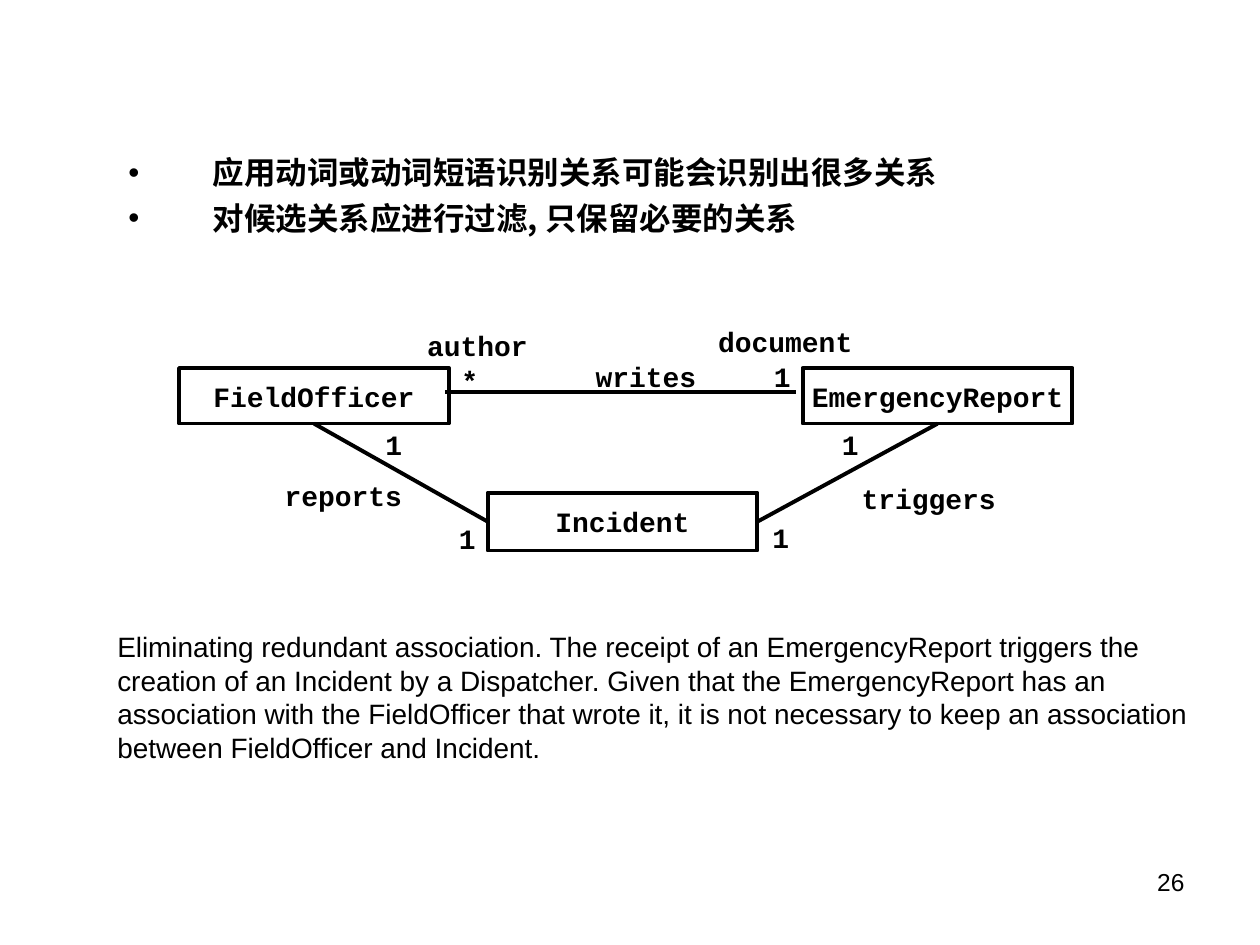
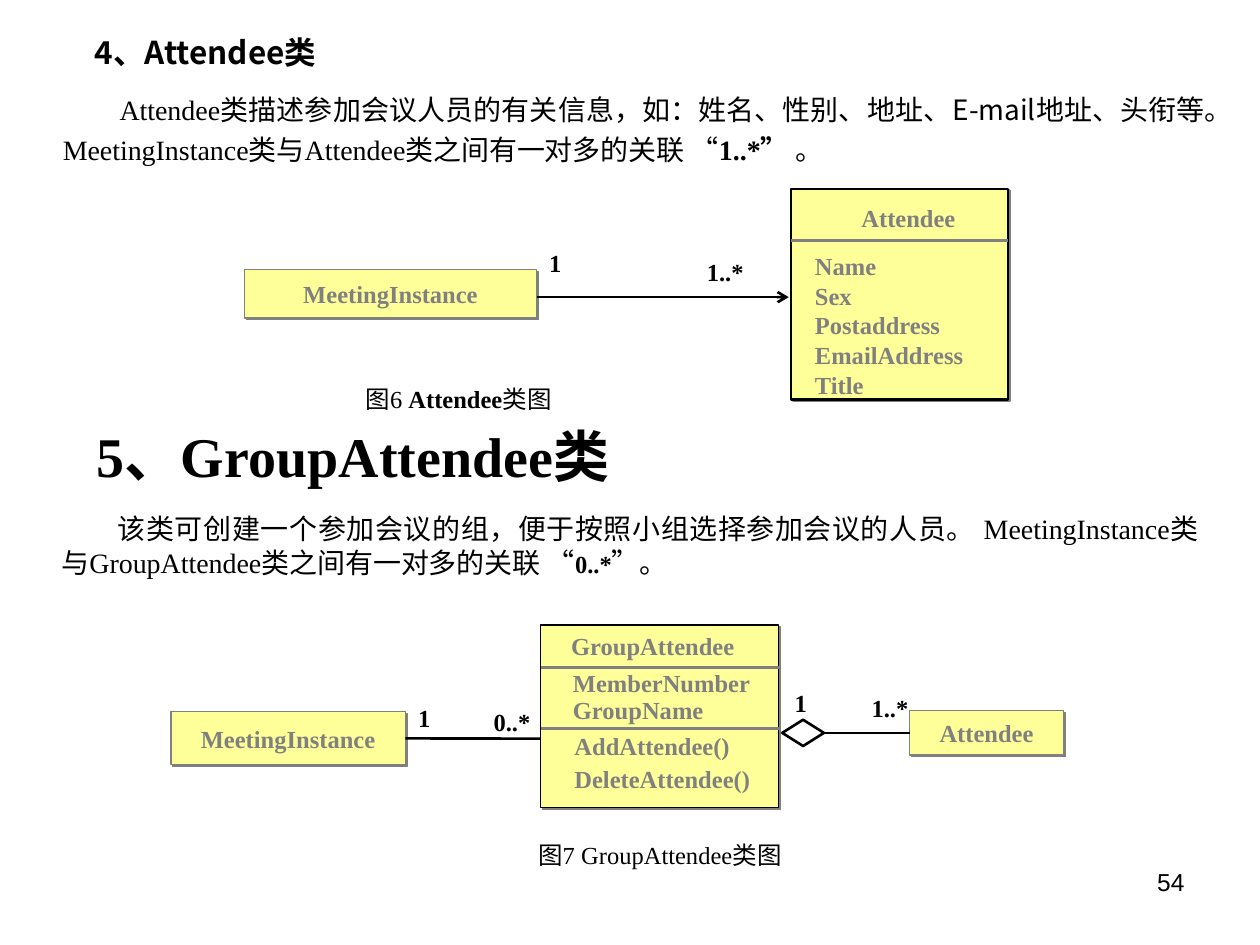
"""Build two class-diagram slides: association filtering and attendee classes."""
from lxml import etree
from pptx import Presentation
from pptx.dml.color import RGBColor
from pptx.enum.shapes import MSO_CONNECTOR, MSO_SHAPE
from pptx.enum.text import MSO_ANCHOR, MSO_AUTO_SIZE, PP_ALIGN
from pptx.oxml import parse_xml
from pptx.oxml.ns import nsdecls, qn
from pptx.util import Cm, Pt

RECT, DIAMOND = MSO_SHAPE.RECTANGLE, MSO_SHAPE.DIAMOND
STRAIGHT = MSO_CONNECTOR.STRAIGHT
TOP, MIDDLE = MSO_ANCHOR.TOP, MSO_ANCHOR.MIDDLE
FIXED = MSO_AUTO_SIZE.NONE
LEFT, CENTER, RIGHT = PP_ALIGN.LEFT, PP_ALIGN.CENTER, PP_ALIGN.RIGHT
JUSTIFY = PP_ALIGN.JUSTIFY

COLORS = {"black": "000000", "white": "FFFFFF", "gray": "808080", "yellow": "FFFF99"}
CJK, SERIF = "Noto Sans CJK SC", "Times New Roman"
FONTS = {
    "number": {"name": "Arial", "size": Pt(14)},
    "note": {"name": "Arial", "size": Pt(16)},
    "bullet": {"name": CJK, "size": Pt(18), "bold": True},
    "code": {"name": "Courier New", "size": Pt(16), "bold": True},
    "title": {"name": "Noto Sans CJK JP", "size": Pt(18), "bold": True},
    "heading": {"name": SERIF, "size": Pt(32), "bold": True},
    "body": {"name": SERIF, "size": Pt(16)},
    "caption": {"name": SERIF, "size": Pt(14)},
    "class": {"name": SERIF, "size": Pt(14), "bold": True},
}
TIGHT = {"margin_left": 0, "margin_right": 0, "margin_top": 0, "margin_bottom": 0, "word_wrap": False}
SHADOW = (
    f'<a:effectLst {nsdecls("a")}><a:outerShdw dist="17780" dir="2700000" algn="ctr" rotWithShape="0">'
    f'<a:srgbClr val="{COLORS["gray"]}"/></a:outerShdw></a:effectLst>'
)


def write(sp, paras, font, color="black", frame=None, indent=None, **para):
    """Fill a shape with paragraphs, each a string or a list of (text, font changes)."""
    tf = sp.text_frame
    for name, value in {"word_wrap": True, "auto_size": FIXED, **(frame or {})}.items():
        setattr(tf, name, value)
    for i, runs in enumerate(paras):
        p = tf.add_paragraph() if i else tf.paragraphs[0]
        for name, value in {"alignment": LEFT, **para}.items():
            setattr(p, name, value)
        if indent:
            p._p.get_or_add_pPr().set("indent", str(Cm(indent)))
        for text, changes in [(runs, {})] if isinstance(runs, str) else runs:
            r = p.add_run()
            r.text = text
            fmt = {"bold": False, **FONTS[font], **changes}
            for name, value in fmt.items():
                setattr(r.font, name, value)
            r.font.color.rgb = RGBColor.from_string(COLORS[color])
            ea = etree.SubElement(r._r.get_or_add_rPr(), qn("a:ea"))
            ea.set("typeface", fmt["name"] if "CJK" in fmt["name"] else CJK)


def add(s, at, kind=None, fill=None, line="black", width=0.75, shadow=False):
    """Add a text box, or an outlined shape when a kind is given."""
    at = [Cm(v) for v in at]
    if kind is None:
        return s.shapes.add_textbox(*at)
    sp = s.shapes.add_shape(kind, *at)
    sp.shadow.inherit = False
    if fill:
        sp.fill.solid()
        sp.fill.fore_color.rgb = RGBColor.from_string(COLORS[fill])
    else:
        sp.fill.background()
    sp.line.color.rgb = RGBColor.from_string(COLORS[line])
    sp.line.width = Pt(width)
    if shadow:
        spPr = sp._element.spPr
        spPr.replace(spPr.find(qn("a:effectLst")), parse_xml(SHADOW))
    return sp


prs = Presentation()
prs.slide_width, prs.slide_height = Cm(25.4), Cm(19.05)

slides = []
for number, title, font, at in [
    ("26", "Eliminating redundant association. The receipt of an EmergencyReport triggers the creation of "
           "an Incident by a Dispatcher. Given that the EmergencyReport has an association with the "
           "FieldOfficer that wrote it, it is not necessary to keep an association between FieldOfficer "
           "and Incident.", "note", (2.11, 12.5, 22.23, 3.1)),
    ("54", "4、Attendee类", "title", (1.65, 0, 21.59, 2.08)),
]:
    s = prs.slides.add_slide(prs.slide_layouts[5])
    sp = s.shapes.title
    sp.left, sp.top, sp.width, sp.height = [Cm(v) for v in at]
    write(sp, [title], font, frame={"vertical_anchor": MIDDLE})
    write(add(s, (18.21, 17.35, 5.92, 1.32)), [number], "number", alignment=RIGHT)
    slides.append(s)
filtering, attendees = slides

sp = add(filtering, (2.34, 2.97, 21.39, 2.11))
write(sp, ["应用动词或动词短语识别关系可能会识别出很多关系", "对候选关系应进行过滤, 只保留必要的关系"],
      "bullet", indent=-1.7, space_before=Pt(4.5))
for p in sp.text_frame.paragraphs:
    pPr = p._p.get_or_add_pPr()
    pPr.set("marL", str(Cm(1.7)))
    etree.SubElement(pPr, qn("a:buFont")).set("typeface", "Arial")
    etree.SubElement(pPr, qn("a:buChar")).set("char", "•")

boxes = {}
for name, x, y, h in [
    ("FieldOfficer", 3.61, 7.42, 1.12),
    ("EmergencyReport", 16.18, 7.42, 1.12),
    ("Incident", 9.83, 9.93, 1.17),
]:
    boxes[name] = add(filtering, (x, y, 5.44, h), RECT, "white", width=2.25)
    write(boxes[name], [name], "code", frame=TIGHT, alignment=CENTER)

for text, x, y in [
    ("author", 8.61, 6.63), ("*", 9.3, 7.32), ("writes", 12.01, 7.24),
    ("document", 14.48, 6.55), ("1", 15.6, 7.24),
    ("1", 7.77, 8.61), ("reports", 5.74, 9.65), ("1", 9.25, 10.52),
    ("1", 16.97, 8.61), ("triggers", 17.37, 9.7), ("1", 15.57, 10.49),
]:
    write(add(filtering, (x, y, 0.34 * len(text), 0.69)), [text], "code", frame=TIGHT)

for at, indent, spacing, runs in [
    ((0.89, 1.6, 23.65, 1.88), 1.27, 1.2, [
        ("Attendee类", {}),
        ("描述参加会议人员的有关信息，如：姓名、性别、地址、E-mail地址、头衔等。 ", {"name": CJK}),
        ("MeetingInstance类与Attendee类之间有一对多的关联 “", {}),
        ("1..*” ", {"bold": True}), ("。", {})]),
    ((0.99, 10.19, 23.42, 1.63), 1.13, 1.0, [
        ("该类可", {}),
        ("创建一个参加会议的组，便于按照小组选择参加会议的人员。 ", {"name": CJK}),
        ("MeetingInstance类与GroupAttendee类之间有一对多的关联 “", {}),
        ("0..*", {"size": Pt(14), "bold": True}), ("”。", {})]),
]:
    write(add(attendees, at), [runs], "body", indent=indent, alignment=JUSTIFY, line_spacing=spacing)

write(add(attendees, (1.42, 8.43, 21.59, 1.47)), [" 5、GroupAttendee类"], "heading",
      frame={"vertical_anchor": MIDDLE})

for x, y, runs in [
    (3.53, 7.62, [("图6 ", {}), ("Attendee", {"bold": True}), ("类图", {})]),
    (7.59, 16.81, [("图7 GroupAttendee类图", {})]),
]:
    write(add(attendees, (x, y, 11.43, 0.86)), [runs], "caption", alignment=CENTER)

add(attendees, (15.95, 3.81, 4.37, 4.24), RECT, "yellow", width=1.5, shadow=True)
add(attendees, (10.9, 12.6, 4.8, 3.68), RECT, "yellow", shadow=True)
for at, lines, fmt in [
    ((16.31, 3.96, 4.01, 0.86), ["Attendee"], {"alignment": CENTER}),
    ((16.18, 5, 3.89, 3.18), ["Name", "Sex", "Postaddress", "EmailAddress", "Title"],
     {"line_spacing": 0.9, "space_after": Pt(1.8)}),
    ((10.9, 12.6, 4.52, 0.86), ["GroupAttendee"], {"alignment": CENTER}),
    ((11.3, 13.41, 4.55, 1.32), ["MemberNumber", "GroupName"], {"line_spacing": 0.9}),
    ((11.33, 14.68, 4.5, 1.45), ["AddAttendee()", "DeleteAttendee()"],
     {"line_spacing": 0.9, "space_after": Pt(3.5)}),
]:
    write(add(attendees, at), lines, "class", "gray", **fmt)

for key, name, at in [
    ("meeting", "MeetingInstance", (4.93, 5.44, 5.89, 0.97)),
    ("group meeting", "MeetingInstance", (3.45, 14.35, 4.72, 1.07)),
    ("member", "Attendee", (18.34, 14.33, 3.1, 0.89)),
]:
    boxes[key] = add(attendees, at, RECT, "yellow", "gray", shadow=True)
    write(boxes[key], [name], "class", "gray", frame={"word_wrap": False}, alignment=CENTER)
boxes["aggregation"] = add(attendees, (15.77, 14.51, 0.84, 0.53), DIAMOND, width=1.5)

for text, x, y, w in [
    ("1", 10.82, 4.88, 2.11), ("1..*", 14, 5.05, 2.11),
    ("1", 8.18, 14.05, 1.27), ("0..*", 9.7, 14.12, 2.11),
    ("1", 15.77, 13.74, 1.07), ("1..*", 17.32, 13.84, 2.11),
]:
    write(add(attendees, (x, y, w, 0.86)), [text], "class", frame={"vertical_anchor": TOP})

for s, ends, color, width, begin, end, arrow in [
    (filtering, (8.97, 7.9, 16.05, 7.9), "black", 2.25, None, None, False),
    (filtering, (6.33, 8.54, 9.83, 10.52), "black", 2.25, ("FieldOfficer", 2), ("Incident", 1), False),
    (filtering, (18.9, 8.54, 15.27, 10.52), "black", 2.25, ("EmergencyReport", 2), ("Incident", 3), False),
    (attendees, (15.95, 4.85, 20.32, 4.85), "gray", 1.5, None, None, False),
    (attendees, (10.82, 5.99, 15.9, 5.99), "black", 1.5, None, None, True),
    (attendees, (10.9, 13.46, 15.7, 13.46), "gray", 1.5, None, None, False),
    (attendees, (10.9, 14.68, 15.7, 14.68), "gray", 1.5, None, None, False),
    (attendees, (8.17, 14.89, 10.9, 14.89), "black", 1.5, ("group meeting", 3), None, False),
    (attendees, (16.61, 14.78, 18.34, 14.78), "black", 1.5, ("aggregation", 3), ("member", 1), False),
]:
    sp = s.shapes.add_connector(STRAIGHT, *[Cm(v) for v in ends])
    if begin:
        sp.begin_connect(boxes[begin[0]], begin[1])
    if end:
        sp.end_connect(boxes[end[0]], end[1])
    sp.line.color.rgb = RGBColor.from_string(COLORS[color])
    sp.line.width = Pt(width)
    if arrow:
        etree.SubElement(sp.line._get_or_add_ln(), qn("a:tailEnd")).set("type", "arrow")
    etree.SubElement(sp._element.spPr, qn("a:effectLst"))

prs.save("out.pptx")
